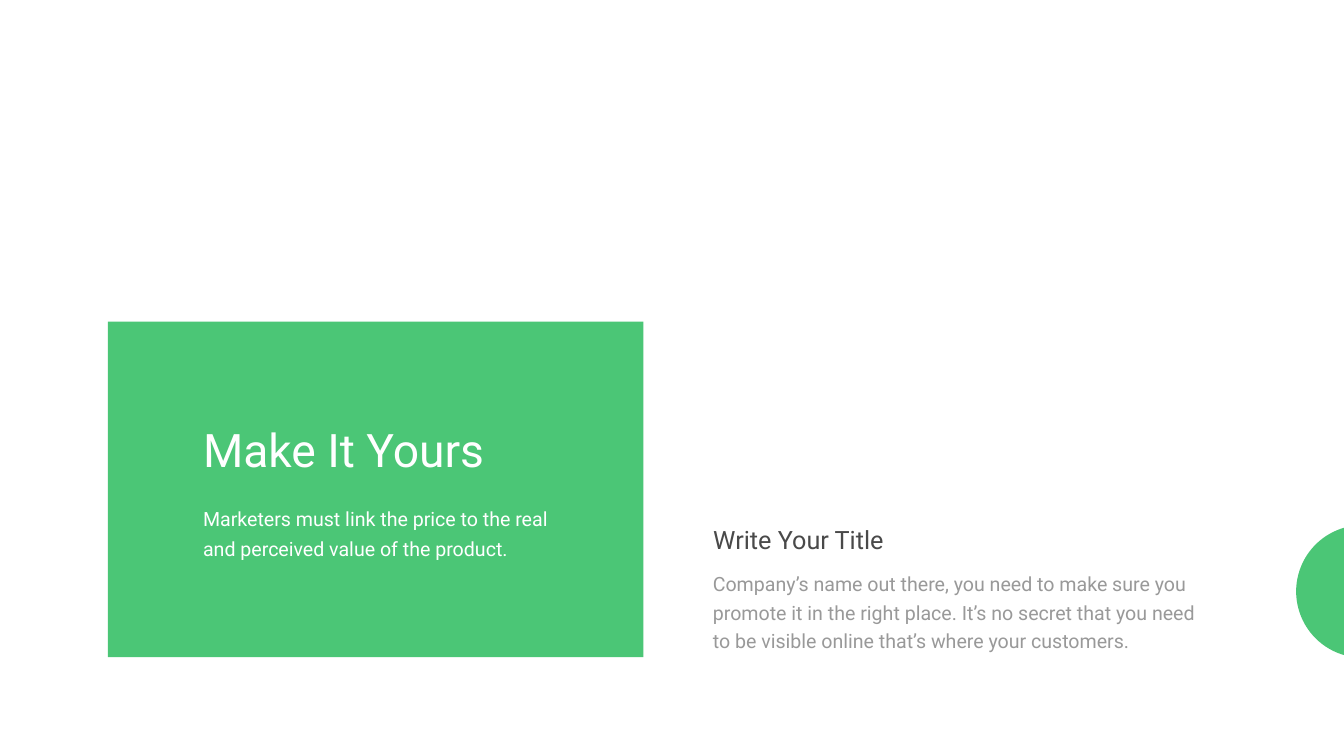
from pptx import Presentation
from pptx import util as u
from pptx.dml.color import RGBColor
from pptx.enum import shapes, text

COLORS = {"green": "4BC676", "white": "FFFFFF", "dark": "494949", "grey": "999999"}
FONT = "Roboto"


def add_block(page, kind, box, color):
    """Place a plain filled shape in box (left, top, width, height)."""
    shape = page.shapes.add_shape(kind, *map(u.Inches, box))
    shape.shadow.inherit = False
    shape.fill.solid()
    shape.fill.fore_color.rgb = RGBColor.from_string(COLORS[color])
    shape.line.fill.background()
    return shape


def add_text(group, box, words, size, color, line=None, wrap=True, inset=(0.1, 0.05)):
    """Place one paragraph in box; line is the line height in points."""
    label = group.shapes.add_textbox(*map(u.Inches, box))
    frame = label.text_frame
    frame.word_wrap = wrap
    frame.auto_size = text.MSO_AUTO_SIZE.SHAPE_TO_FIT_TEXT
    frame.margin_left = frame.margin_right = u.Inches(inset[0])
    frame.margin_top = frame.margin_bottom = u.Inches(inset[1])
    para = frame.paragraphs[0]
    if line:
        para.line_spacing = u.Pt(line)
    span = para.add_run()
    span.text = words
    span.font.name = FONT
    span.font.size = u.Pt(size)
    span.font.color.rgb = RGBColor.from_string(COLORS[color])


def add_edge_chord(page, box):
    """Round accent cut off at the right edge of the slide."""
    chord = add_block(page, shapes.MSO_SHAPE.CHORD, box, "green")
    chord.rotation = 90
    chord.adjustments[0] = 8.266
    chord.adjustments[1] = 99.598


def add_headline_panel(page, box):
    """Green panel with a headline and a short statement."""
    add_block(page, shapes.MSO_SHAPE.RECTANGLE, box, "green")
    left, top, width, _ = box
    inner_left, inner_width = left + 1.79, width - 3.58
    group = page.shapes.add_group_shape()
    add_text(group, (inner_left, top + 1.93, inner_width, 1.21),
             "Make It Yours", 66, "white")
    add_text(group, (inner_left, top + 3.49, inner_width, 1.25),
             "Marketers must link the price to the real and perceived value of the product.",
             28, "white", line=43)


def add_side_note(page, box):
    """Small title above a grey paragraph."""
    left, top, width, height = box
    group = page.shapes.add_group_shape()
    add_text(group, (left, top + 0.77, width, height - 0.77),
             "Company’s name out there, you need to make sure you promote it in the "
             "right place. It’s no secret that you need to be visible online that’s "
             "where your customers.",
             28, "grey", line=40.8, inset=(0.24, 0.12))
    add_text(group, (left + 0.15, top, 3.64, 0.71),
             "Write Your Title", 36, "dark", wrap=False)


def main():
    deck = Presentation()
    deck.slide_width, deck.slide_height = u.Inches(26.66), u.Inches(15)
    page = deck.slides.add_slide(deck.slide_layouts[6])
    page.background.fill.solid()
    page.background.fill.fore_color.rgb = RGBColor.from_string(COLORS["white"])

    add_edge_chord(page, (25.71, 10.42, 2.63, 2.63))
    add_headline_panel(page, (2.14, 6.38, 10.62, 6.66))
    add_side_note(page, (13.9, 10.36, 10.05, 2.69))
    deck.save("out.pptx")


if __name__ == "__main__":
    main()
